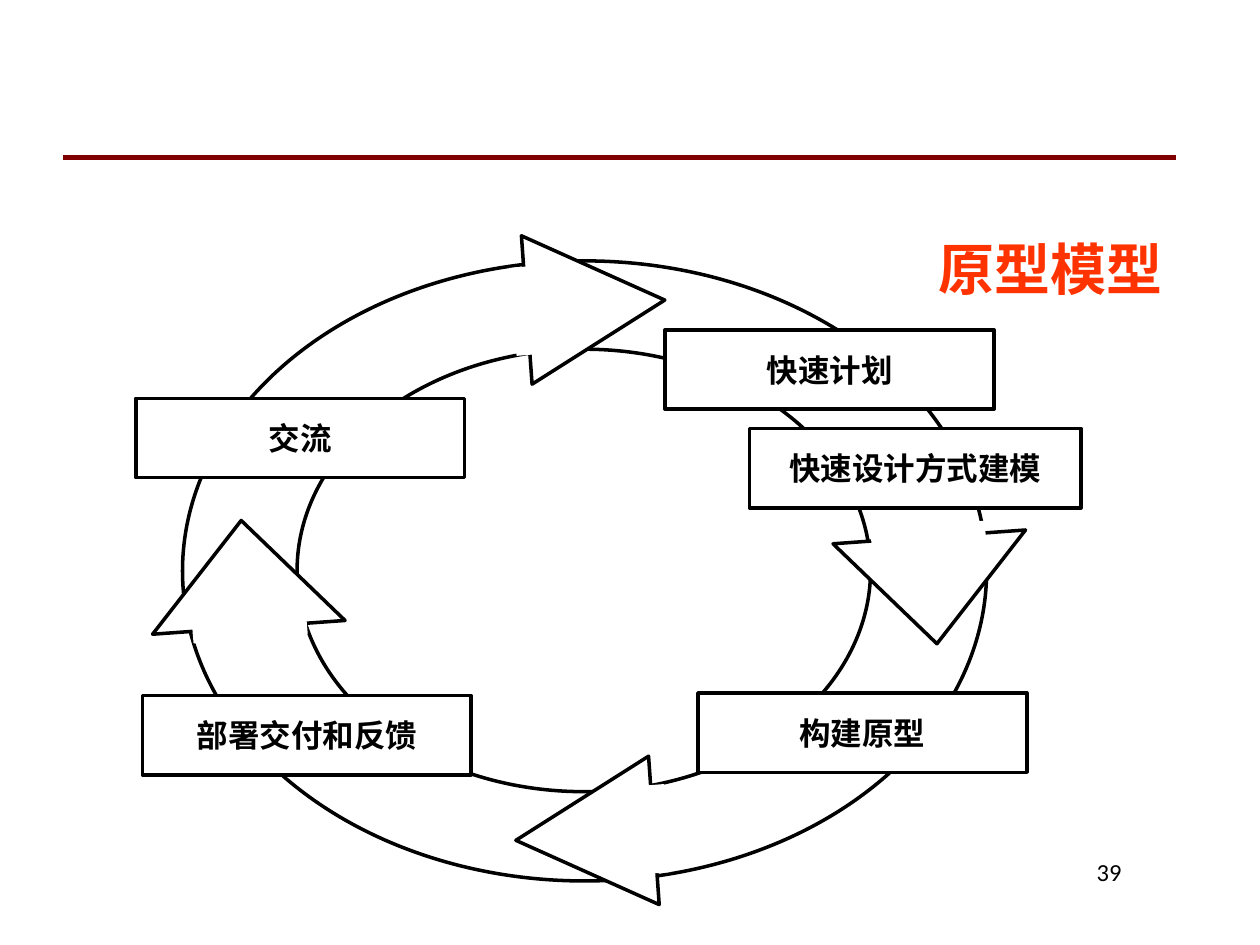
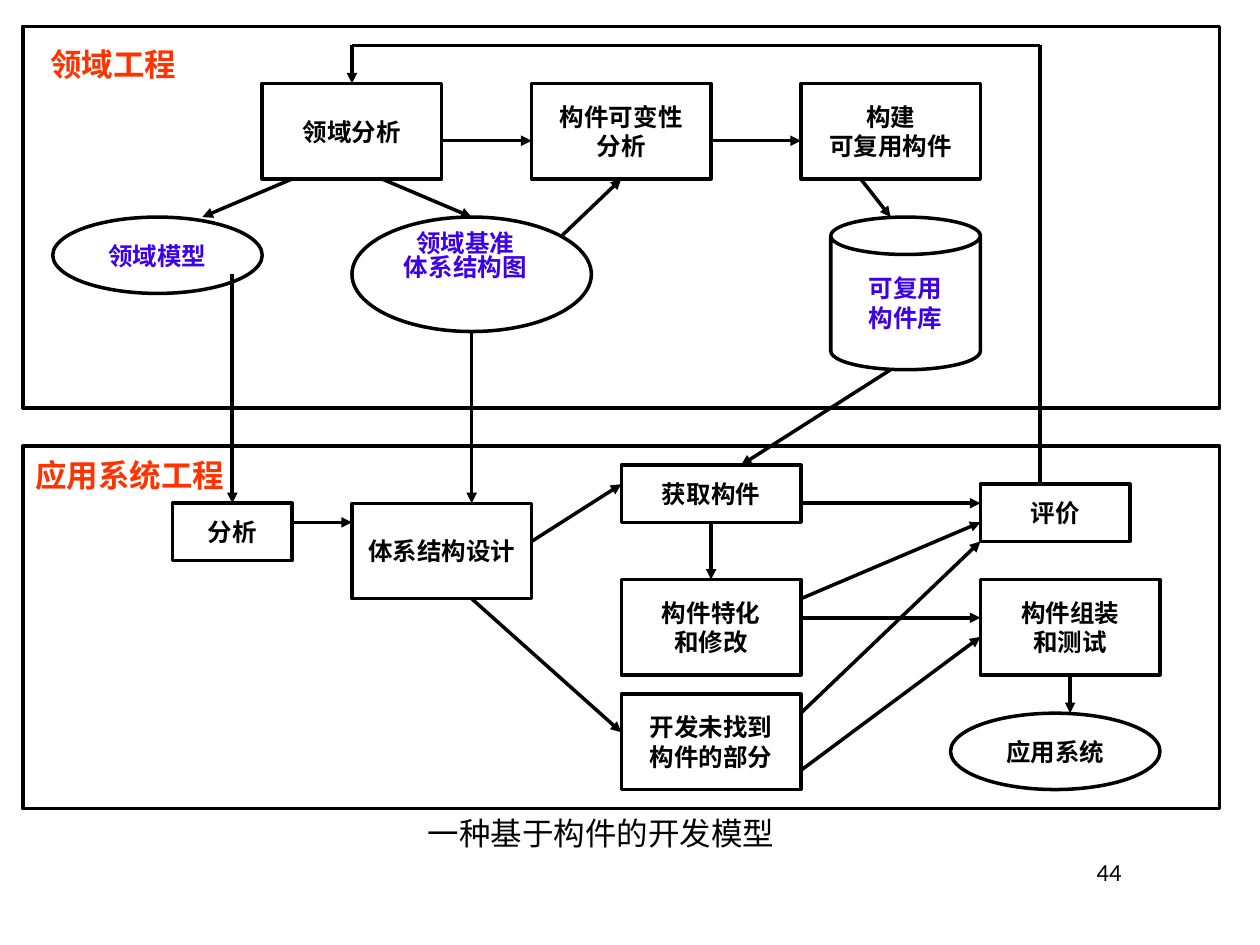
from lxml.etree import SubElement
from pptx import Presentation
from pptx.dml.color import RGBColor
from pptx.enum.shapes import MSO_CONNECTOR, MSO_SHAPE as Shape
from pptx.enum.text import MSO_ANCHOR as Anchor, MSO_AUTO_SIZE, PP_ALIGN as Align
from pptx.oxml.ns import qn
from pptx.util import Cm, Pt

BLACK, WHITE, MAROON = "000000", "FFFFFF", "800000"
RED, BLUE = "FF3300", "3D00EA"
SERIF, SANS, NUMBER_FONT = "Times New Roman", "Arial", "Calibri"
TITLE_ONLY = 5

# Prototyping cycle: all lengths in cm
CYCLE_TITLE = "原型模型"
CYCLE_RINGS = [(3.68, 5.26, 16.21, 12.5), (5.99, 7.04, 11.56, 8.92)]
SIDE_SIZES = (3.89, 2.16), (2.31, 0.36)  # head, mask
END_SIZES = (3.0, 2.79), (1.78, 0.46)
CYCLE_ARROWS = [  # head centre, mask centre, sizes, head rotation
    ((4.94, 11.57), (5.04, 12.7), SIDE_SIZES, 355.9),
    ((11.79, 16.84), (13.23, 16.71), END_SIZES, 265.9),
    ((18.81, 11.9), (18.71, 10.77), SIDE_SIZES, 175.9),
    ((12.01, 6.15), (10.57, 6.27), END_SIZES, 85.9),
]
MASK_TURN = -0.6
CYCLE_STEPS = [
    ("部署交付和反馈", 2.87, 14.02, 6.63),
    ("构建原型", 14.07, 13.97, 6.63),
    ("交流", 2.74, 8.03, 6.63),
    ("快速设计方式建模", 15.11, 8.64, 6.68),
    ("快速计划", 13.41, 6.65, 6.63),
]
STEP_HEIGHT = 1.6

# Component-based development: positions count grid columns and rows
COMPONENT_TITLE = "一种基于构件的开发模型"
GRID_LEFT, GRID_TOP = 0.46, 0.53
COLUMN, ROW = 24.13 / 40, 15.77 / 41
PANELS = [(0, 0, 40, 20), (0, 22, 40, 19)]
PANEL_LABELS = [("领域工程", (0.5, 0.5, 6, 3)), ("应用系统工程", (0, 22, 8, 3))]
ACTIVITIES = [
    ("领域分析", (8, 3, 6, 5)),
    ("构件可变性\n分析", (17, 3, 6, 5)),
    ("构建\n可复用构件", (26, 3, 6, 5)),
    ("分析", (5, 25, 4, 3)),
    ("体系结构设计", (11, 25, 6, 5)),
    ("获取构件", (20, 23, 6, 3)),
    ("构件特化\n和修改", (20, 29, 6, 5)),
    ("评价", (32, 24, 5, 3)),
    ("构件组装\n和测试", (32, 29, 6, 5)),
    ("开发未找到\n构件的部分", (20, 35, 6, 5)),
]
PRODUCTS = [
    ("领域模型", Shape.OVAL, (1, 10, 7, 4), BLUE),
    ("可复用\n构件库", Shape.CAN, (27, 10, 5, 8), BLUE),
    ("应用系统", Shape.OVAL, (31, 36, 7, 4), BLACK),
]
ARCHITECTURE = ("领域基准\n体系结构图", (11, 10, 8, 6))
FLOWS = [
    ((9, 8), (6, 10)), ((12, 8), (15, 10)), ((18, 11), (20, 8)),
    ((28, 8), (29, 10)), ((7, 13), (7, 25)), ((15, 16), (15, 25)),
    ((29, 18), (24, 23)), ((17, 27), (20, 24)), ((26, 25), (32, 25)),
    ((26, 30), (32, 26)), ((26, 31), (32, 31)), ((26, 36), (32, 27)),
    ((26, 39), (32, 32)), ((35, 34), (35, 36)), ((15, 30), (20, 37)),
    ((23, 26), (23, 29)), ((9, 26), (11, 26)), ((14, 6), (17, 6)),
    ((23, 6), (26, 6)), ((11, 1), (11, 3)),
]
FEEDBACK_LINES = [((11, 1), (34, 1)), ((34, 1), (34, 24))]


def color(hex_string):
    return RGBColor.from_string(hex_string)


def lengths(values):
    return [Cm(value) for value in values]


def grid(column, row):
    return GRID_LEFT + column * COLUMN, GRID_TOP + row * ROW


def grid_frame(frame):
    column, row, columns, rows = frame
    return *grid(column, row), columns * COLUMN, rows * ROW


def write(shape, text, size, ink=BLACK, font=SERIF, bold=True,
          align=Align.CENTER, anchor=Anchor.MIDDLE, side_inset=0.25, wrap=True):
    frame = shape.text_frame
    frame.text = text
    frame.auto_size = MSO_AUTO_SIZE.NONE
    frame.word_wrap = wrap
    frame.vertical_anchor = anchor
    frame.margin_left = frame.margin_right = Cm(side_inset)
    frame.margin_top = frame.margin_bottom = Cm(0.13)
    for paragraph in frame.paragraphs:
        paragraph.alignment = align
        paragraph.font.size = Pt(size)
        paragraph.font.name = font
        paragraph.font.bold = bold
        paragraph.font.color.rgb = color(ink)


def add_text(slide, frame, text, size, **style):
    write(slide.shapes.add_textbox(*lengths(frame)), text, size, **style)


def add_figure(slide, kind, frame, fill=WHITE, outlined=True):
    shape = slide.shapes.add_shape(kind, *lengths(frame))
    shape.shadow.inherit = False
    if fill:
        shape.fill.solid()
        shape.fill.fore_color.rgb = color(fill)
    else:
        shape.fill.background()
    if outlined:
        shape.line.color.rgb = color(BLACK)
        shape.line.width = Pt(2)
    else:
        shape.line.fill.background()
    return shape


def add_centered(slide, kind, center, size, rotation, outlined=True):
    (x, y), (width, height) = center, size
    frame = x - width / 2, y - height / 2, width, height
    add_figure(slide, kind, frame, outlined=outlined).rotation = rotation


def add_line(slide, start, end, ink=BLACK, width=2, arrow=False):
    line = slide.shapes.add_connector(MSO_CONNECTOR.STRAIGHT, *lengths((*start, *end)))
    line.line.color.rgb = color(ink)
    line.line.width = Pt(width)
    properties = line._element.spPr
    if arrow:
        SubElement(properties.find(qn("a:ln")), qn("a:tailEnd"), type="triangle")
    SubElement(properties, qn("a:effectLst"))
    return line


def side_middles(frame):
    """Grid points in connection-site order: top, left, bottom, right."""
    left, top, width, height = frame
    middle, center = left + width / 2, top + height / 2
    return (middle, top), (left, center), (middle, top + height), (left + width, center)


def add_slide(presentation, title, frame, number, **title_style):
    slide = presentation.slides.add_slide(presentation.slide_layouts[TITLE_ONLY])
    heading = slide.shapes.title
    heading.left, heading.top, heading.width, heading.height = lengths(frame)
    write(heading, title, **title_style)
    add_text(slide, (19.25, 17.15, 3.61, 1.27), number, 14, font=NUMBER_FONT,
             bold=False, align=Align.RIGHT, anchor=Anchor.TOP)
    return slide


def build_cycle(presentation):
    slide = add_slide(presentation, CYCLE_TITLE, (18.21, 4.9, 5.92, 1.02), "39",
                      size=32, ink=RED, wrap=False)
    add_line(slide, (1.27, 3.18), (23.7, 3.18), MAROON, 3)
    for ring in CYCLE_RINGS:
        add_figure(slide, Shape.OVAL, ring, fill=None)
    for head, mask, (head_size, mask_size), turn in CYCLE_ARROWS:
        add_centered(slide, Shape.ISOSCELES_TRIANGLE, head, head_size, turn)
        add_centered(slide, Shape.RECTANGLE, mask, mask_size, turn + MASK_TURN,
                     outlined=False)
    for text, left, top, width in CYCLE_STEPS:
        box = add_figure(slide, Shape.RECTANGLE, (left, top, width, STEP_HEIGHT))
        write(box, text, 18, side_inset=0.05)


def build_components(presentation):
    slide = add_slide(presentation, COMPONENT_TITLE, (5.49, 16.28, 13.26, 1.02), "44",
                      size=18, font=SANS, bold=False)
    for panel in PANELS:
        add_figure(slide, Shape.RECTANGLE, grid_frame(panel))
    for text, frame in PANEL_LABELS:
        add_text(slide, grid_frame(frame), text, 18, ink=RED, align=Align.LEFT)

    sites = {}
    for text, frame in ACTIVITIES:
        box = add_figure(slide, Shape.RECTANGLE, grid_frame(frame))
        write(box, text, 14)
        for index, point in enumerate(side_middles(frame)):
            sites[point] = box, index
    for text, kind, frame, ink in PRODUCTS:
        write(add_figure(slide, kind, grid_frame(frame)), text, 14, ink)

    text, frame = ARCHITECTURE
    architecture = add_figure(slide, Shape.OVAL, grid_frame(frame))
    write(architecture, text, 14, BLUE)
    architecture.text_frame.margin_left = 0
    architecture.text_frame.margin_bottom = Cm(0.8)
    for paragraph in architecture.text_frame.paragraphs:
        paragraph.line_spacing = 0.8

    for start, end in FLOWS:
        flow = add_line(slide, grid(*start), grid(*end), arrow=True)
        if start in sites:
            flow.begin_connect(*sites[start])
        if end in sites:
            flow.end_connect(*sites[end])
    for start, end in FEEDBACK_LINES:
        add_line(slide, grid(*start), grid(*end))


def main():
    presentation = Presentation()
    presentation.slide_width, presentation.slide_height = Cm(25.4), Cm(19.05)
    build_cycle(presentation)
    build_components(presentation)
    presentation.save("out.pptx")


if __name__ == "__main__":
    main()
